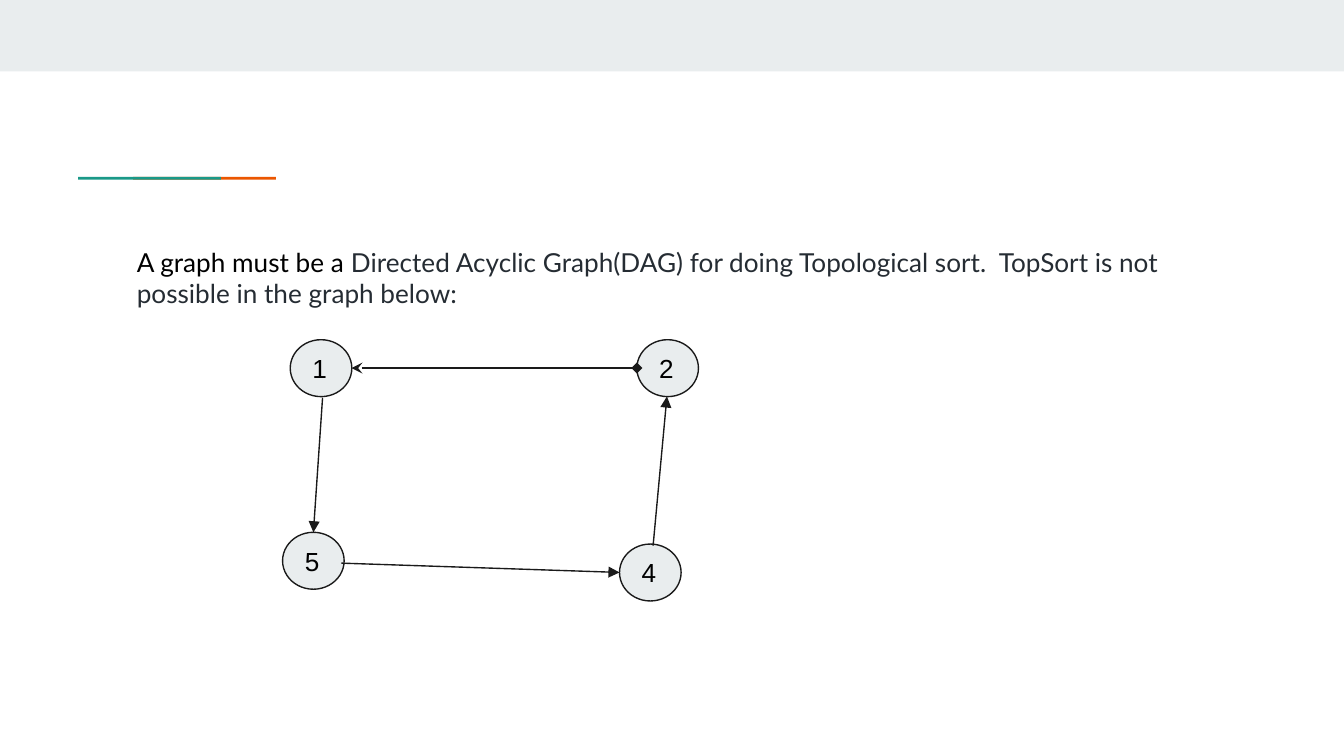
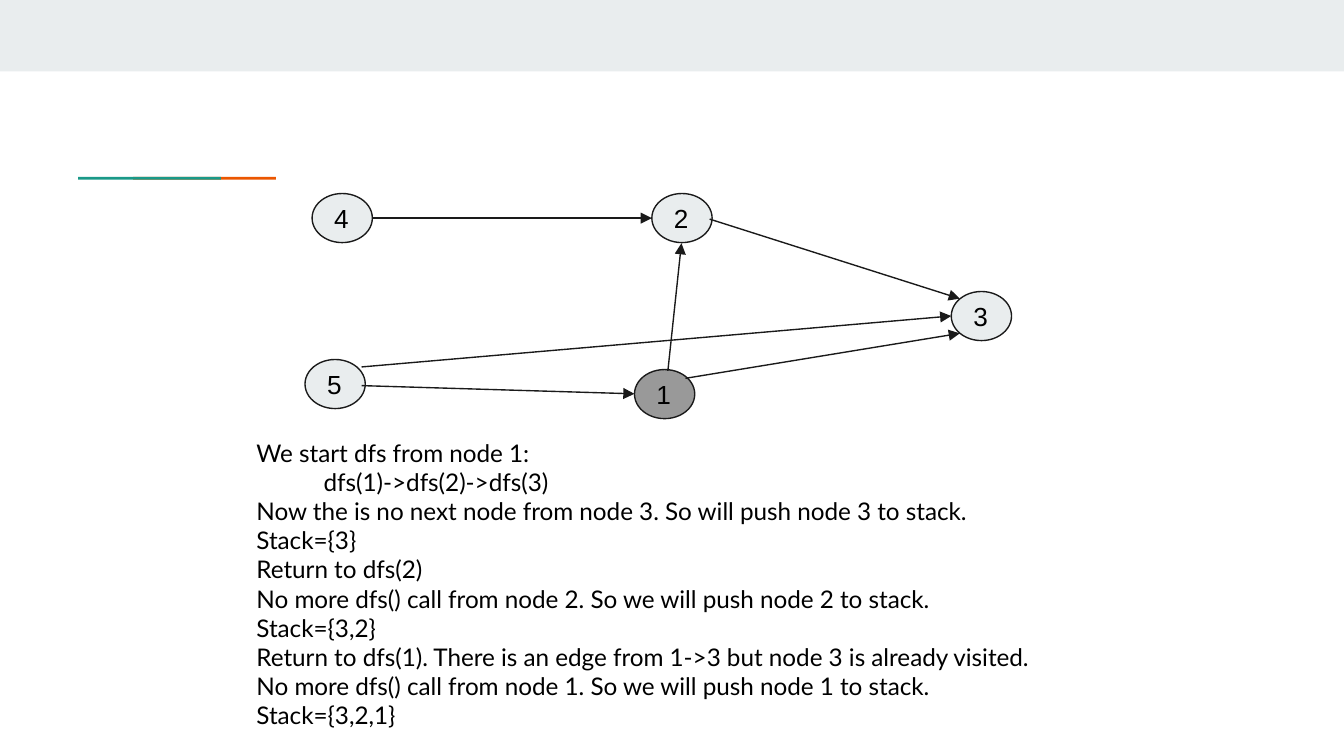
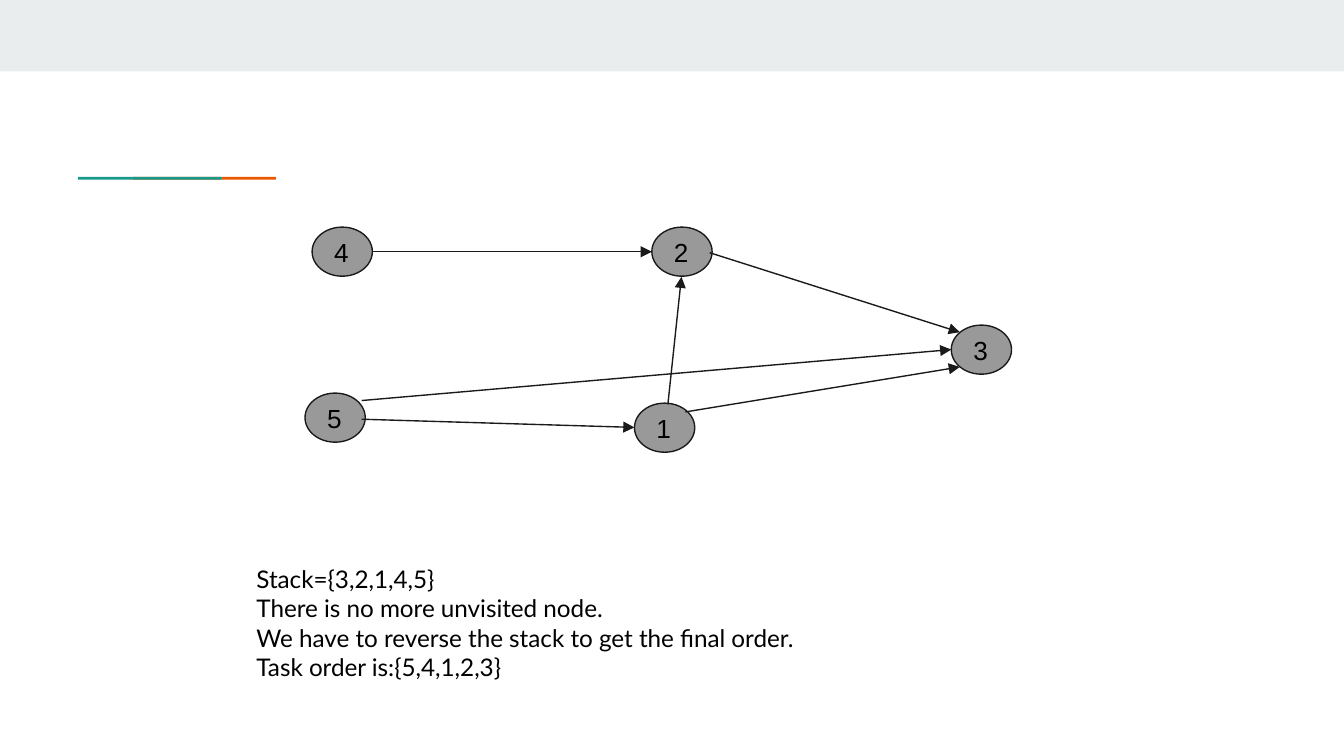
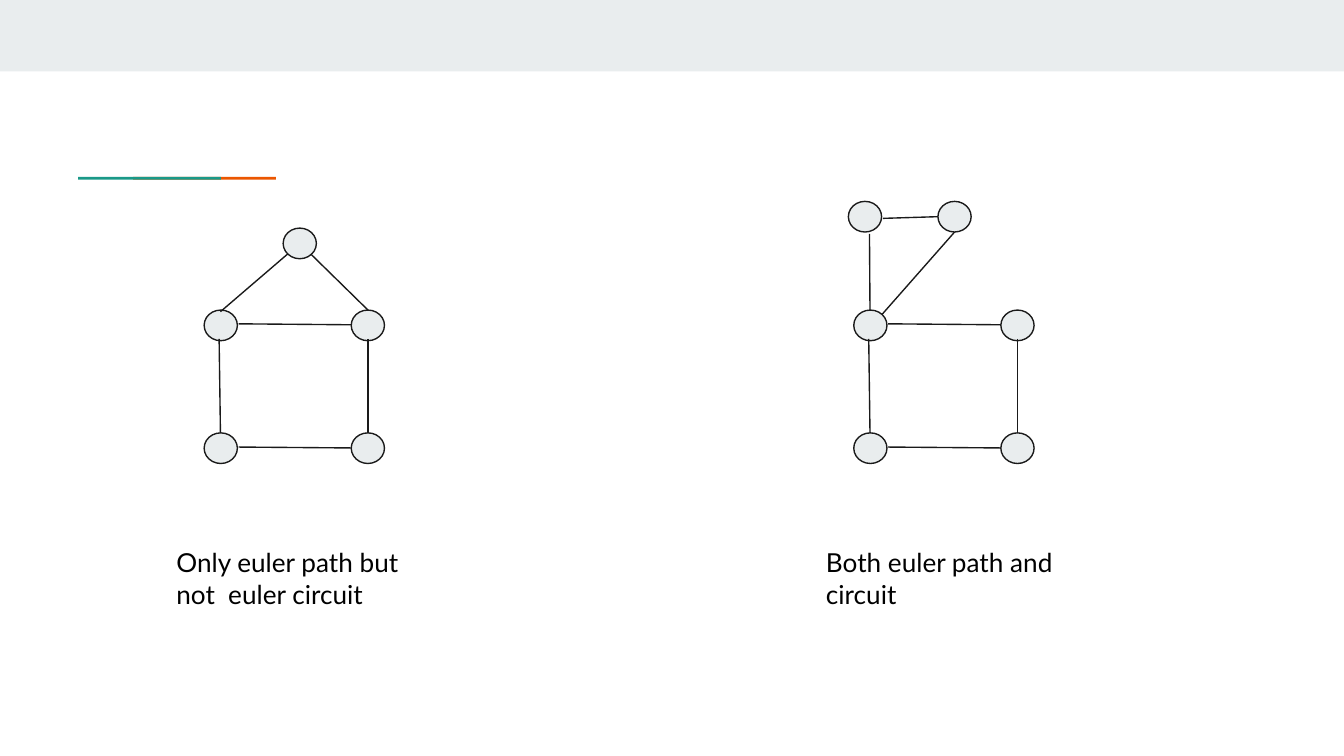
from lxml import etree
from pptx import Presentation, util as u
from pptx.dml.color import RGBColor
from pptx.enum import shapes, text
from pptx.oxml import ns

COLORS = {
    "band": "E9EDEE",
    "accent": "EB5600",
    "teal": "1A9988",
    "visited": "999999",
    "edge": "1A1A1A",
    "ink": "000000",
    "slate": "252C33",
}
INSET = 7.2

TASK_NODES = {
    "2": (349.2, 103.7),
    "3": (509.6, 156.2),
    "1": (339.9, 198),
    "5": (163.4, 192.6),
    "4": (167.2, 103.7),
}
TASK_EDGES = [
    ((380.2, 117.4), (514.2, 160)),
    ((367.2, 202.7), (514.2, 178.6)),
    ((357.8, 198.7), (365.1, 130.3)),
    ((199.4, 116.9), (349.2, 116.9)),
    ((193.7, 206.6), (339.9, 211)),
    ((193.7, 196.6), (509.6, 169.3)),
]
SQUARE_NODES = [(x, y) for y in (166.1, 231.9) for x in (109.4, 188.2)]
SQUARE_EDGES = [
    ((127.8, 173.5), (188.2, 174)),
    ((127.8, 239.5), (188.2, 240)),
    ((117.4, 181.6), (118.1, 231.9)),
    ((197.1, 181.6), (197.1, 231.9)),
]


def rgb(name):
    return RGBColor.from_string(COLORS[name])


class Deck:
    def __init__(self):
        self.prs = Presentation()
        self.prs.slide_width, self.prs.slide_height = u.Pt(720), u.Pt(405)
        self.slide = None

    def new_slide(self):
        self.slide = self.prs.slides.add_slide(self.prs.slide_layouts[6])
        self.shape("RECTANGLE", (0, 0, 720, 38.3), "band")
        self.shape("RECTANGLE", (71.3, 94.8, 76.5, 1.5), "accent")
        self.shape("RECTANGLE", (41.8, 94.8, 76.5, 1.5), "teal")

    def shape(self, preset, box, fill, line=None):
        kind = getattr(shapes.MSO_SHAPE, preset)
        shape = self.slide.shapes.add_shape(kind, *map(u.Pt, box))
        shape.shadow.inherit = False
        shape.fill.solid()
        shape.fill.fore_color.rgb = rgb(fill)
        if line:
            shape.line.color.rgb = rgb(line)
            shape.line.width = u.Pt(0.75)
        else:
            shape.line.fill.background()
        return shape

    def run(self, paragraph, words, font, size, color="ink"):
        run = paragraph.add_run()
        run.text = words
        run.font.name = font
        run.font.size = u.Pt(size)
        run.font.color.rgb = rgb(color)

    def prepare(self, frame, anchor):
        frame.word_wrap = True
        frame.vertical_anchor = anchor
        frame.margin_left = frame.margin_right = u.Pt(INSET)
        frame.margin_top = frame.margin_bottom = u.Pt(INSET)

    def node(self, corner, size, label="", fill="band"):
        node = self.shape("OVAL", (*corner, *size), fill, "edge")
        if label:
            self.prepare(node.text_frame, text.MSO_ANCHOR.MIDDLE)
            paragraph = node.text_frame.paragraphs[0]
            paragraph.alignment = text.PP_ALIGN.LEFT
            self.run(paragraph, label, "Arial", 14)

    def edge(self, start, end, head=None, tail=None):
        edge = self.slide.shapes.add_connector(
            shapes.MSO_CONNECTOR.STRAIGHT, *map(u.Pt, (*start, *end)))
        edge.line.color.rgb = rgb("edge")
        edge.line.width = u.Pt(0.75)
        for tag, arrow in (("a:headEnd", head), ("a:tailEnd", tail)):
            if arrow:
                etree.SubElement(edge.line._ln, ns.qn(tag), type=arrow, w="med", len="med")
        etree.SubElement(edge._element.spPr, ns.qn("a:effectLst"))

    def passage(self, box, paragraphs, size):
        frame = self.slide.shapes.add_textbox(*map(u.Pt, box)).text_frame
        self.prepare(frame, text.MSO_ANCHOR.TOP)
        for index, lines in enumerate(paragraphs):
            paragraph = frame.add_paragraph() if index else frame.paragraphs[0]
            for row, line in enumerate(lines):
                if row:
                    paragraph.add_line_break()
                for words, color in line if isinstance(line, list) else [(line, "ink")]:
                    self.run(paragraph, words, "Lato", size, color)

    def task_graph(self, visited, drop=0):
        for label, (x, y) in TASK_NODES.items():
            fill = "visited" if label in visited else "band"
            self.node((x, y + drop), (32.3, 26.3), label, fill)
        for (x1, y1), (x2, y2) in TASK_EDGES:
            self.edge((x1, y1 + drop), (x2, y2 + drop), tail="triangle")

    def euler_graph(self, shift, extra_nodes, extra_edges, caption):
        for x, y in SQUARE_NODES + extra_nodes:
            self.node((x + shift, y), (17.8, 16.4))
        for (x1, y1), (x2, y2) in SQUARE_EDGES + extra_edges:
            self.edge((x1 + shift, y1), (x2 + shift, y2))
        self.passage((87.4 + shift, 285.8, 148.3, 74.9), [[caption]], 14)


def cyclic_graph(deck):
    deck.new_slide()
    deck.passage((66.2, 124.6, 562.3, 56.2), [[[
        ("A graph must be a ", "ink"),
        ("Directed Acyclic Graph(DAG) for doing Topological sort.  "
         "TopSort is not possible in the graph below:", "slate"),
    ]]], 14)
    nodes = {"2": (341.2, 182), "4": (331.9, 291.5), "5": (151.4, 285.2), "1": (155.5, 182)}
    for label, corner in nodes.items():
        deck.node(corner, (33, 30.5), label)
    deck.edge((349.9, 292.3), (357.3, 212.4), tail="triangle")
    deck.edge((188.3, 197.2), (341.2, 197.2), "stealth", "diamond")
    deck.edge((182.9, 301.7), (331.9, 306.7), tail="triangle")
    deck.edge((172.8, 213.1), (167.9, 285.2), tail="triangle")


def dfs_start(deck):
    deck.new_slide()
    deck.task_graph("1")
    deck.passage((130.3, 227.5, 466.6, 165.6), [
        ["We start dfs from node 1:", "\tdfs(1)->dfs(2)->dfs(3)"],
        ["Now the is no next node from node 3. So will push node 3 to stack.",
         "Stack={3}",
         "Return to dfs(2)",
         "No more dfs() call from node 2. So we will push node 2 to stack."],
        ["Stack={3,2}"],
        ["Return to dfs(1). There is an edge from 1->3 but node 3 is already visited.",
         "No more dfs() call from node 1. So we will push node 1 to stack."],
        ["Stack={3,2,1}"],
    ], 13)


def final_order(deck):
    deck.new_slide()
    deck.task_graph("12345", drop=18)
    deck.passage((130.3, 295.2, 466.6, 97.9), [
        ["Stack={3,2,1,4,5}",
         "There is no more unvisited node.",
         "We have to reverse the stack to get the final order."],
        ["Task order is:{5,4,1,2,3}"],
    ], 13)


def euler_graphs(deck):
    deck.new_slide()
    deck.euler_graph(
        0, [(151.7, 122.2)],
        [((118.1, 167), (154.1, 136.1)), ((166.5, 136.1), (197.1, 166.1))],
        "Only euler path but not  euler circuit")
    deck.euler_graph(
        348, [(106.5, 107.9), (154.5, 107.9)],
        [((125, 117), (154.5, 116.1)),
         ((117.8, 125.3), (118.1, 166.1)),
         ((163.4, 124.3), (124.5, 168.5))],
        "Both euler path and  circuit")


def main():
    deck = Deck()
    for build in (cyclic_graph, dfs_start, final_order, euler_graphs):
        build(deck)
    deck.prs.save("out.pptx")


if __name__ == "__main__":
    main()
